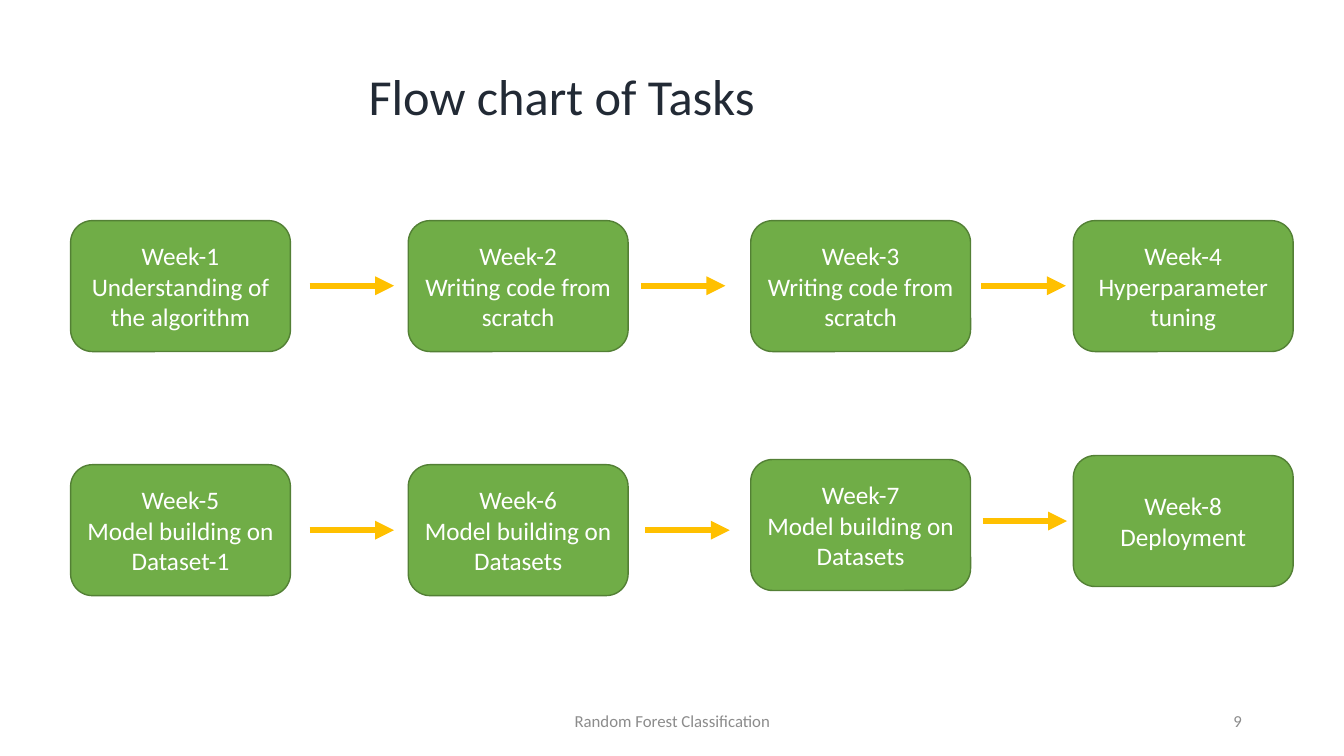
"""Build the slide with the eight-week flow chart of tasks."""
from lxml import etree
from pptx import Presentation
from pptx.dml.color import RGBColor
from pptx.enum.shapes import MSO_CONNECTOR, MSO_SHAPE
from pptx.enum.text import MSO_ANCHOR, PP_ALIGN
from pptx.oxml.ns import qn
from pptx.util import Cm, Pt

STRAIGHT = MSO_CONNECTOR.STRAIGHT
ROUNDED = MSO_SHAPE.ROUNDED_RECTANGLE
TOP, MIDDLE = MSO_ANCHOR.TOP, MSO_ANCHOR.MIDDLE
CENTER, RIGHT = PP_ALIGN.CENTER, PP_ALIGN.RIGHT
COLORS = {"title": "222A35", "footer": "8C8C8C", "box": "70AD47",
          "border": "538035", "text": "FFFFFF", "arrow": "FFC000"}


def color(name):
    return RGBColor.from_string(COLORS[name])


def write(sp, lines, size, color_name, align, anchor):
    tf = sp.text_frame
    tf.word_wrap = True
    tf.vertical_anchor = anchor
    for i, line in enumerate(lines):
        p = tf.paragraphs[0] if i == 0 else tf.add_paragraph()
        p.alignment = align
        r = p.add_run()
        r.text = line
        r.font.name = "Calibri"
        r.font.size = Pt(size)
        r.font.color.rgb = color(color_name)


prs = Presentation()
prs.slide_width, prs.slide_height = Cm(33.87), Cm(19.05)
s = prs.slides.add_slide(prs.slide_layouts[6])

labels = [
    ("9", 23.93, 17.65, 7.62, 1.02, 12, "footer", RIGHT, MIDDLE),
    ("Random Forest Classification", 11.23, 17.65, 11.43, 1.02, 12, "footer", CENTER, MIDDLE),
    ("Flow chart of Tasks", 7.32, 1.52, 13.67, 1.8, 36, "title", CENTER, TOP),
]
for text, x, y, w, h, size, color_name, align, anchor in labels:
    sp = s.shapes.add_textbox(Cm(x), Cm(y), Cm(w), Cm(h))
    write(sp, [text], size, color_name, align, anchor)

BOX_W, BOX_H = 5.54, 3.3
COLUMNS = [1.78, 10.29, 18.92, 27.05]
tasks = [
    ("Understanding of the algorithm", 5.56),
    ("Writing code from scratch", 5.56),
    ("Writing code from scratch", 5.56),
    ("Hyperparameter tuning", 5.56),
    ("Model building on Dataset-1", 11.71),
    ("Model building on Datasets", 11.71),
    ("Model building on Datasets", 11.58),
    ("Deployment", 11.48),
]
for i, (task, y) in enumerate(tasks):
    sp = s.shapes.add_shape(ROUNDED, Cm(COLUMNS[i % 4]), Cm(y), Cm(BOX_W), Cm(BOX_H))
    sp.shadow.inherit = False
    sp.fill.solid()
    sp.fill.fore_color.rgb = color("box")
    sp.line.color.rgb = color("border")
    sp.line.width = Pt(1)
    write(sp, [f"Week-{i + 1}", task], 18, "text", CENTER, MIDDLE)

ARROW_LENGTH = 2.13
arrows = [(7.8, 7.2), (16.15, 7.2), (24.73, 7.2),
          (7.8, 13.36), (16.26, 13.36), (24.76, 13.13)]
for x, y in arrows:
    arrow = s.shapes.add_connector(STRAIGHT, Cm(x), Cm(y), Cm(x + ARROW_LENGTH), Cm(y))
    arrow.line.color.rgb = color("arrow")
    arrow.line.width = Pt(4.5)
    etree.SubElement(arrow.line._get_or_add_ln(), qn("a:tailEnd"), type="triangle")
    etree.SubElement(arrow._element.spPr, qn("a:effectLst"))

prs.save("out.pptx")
